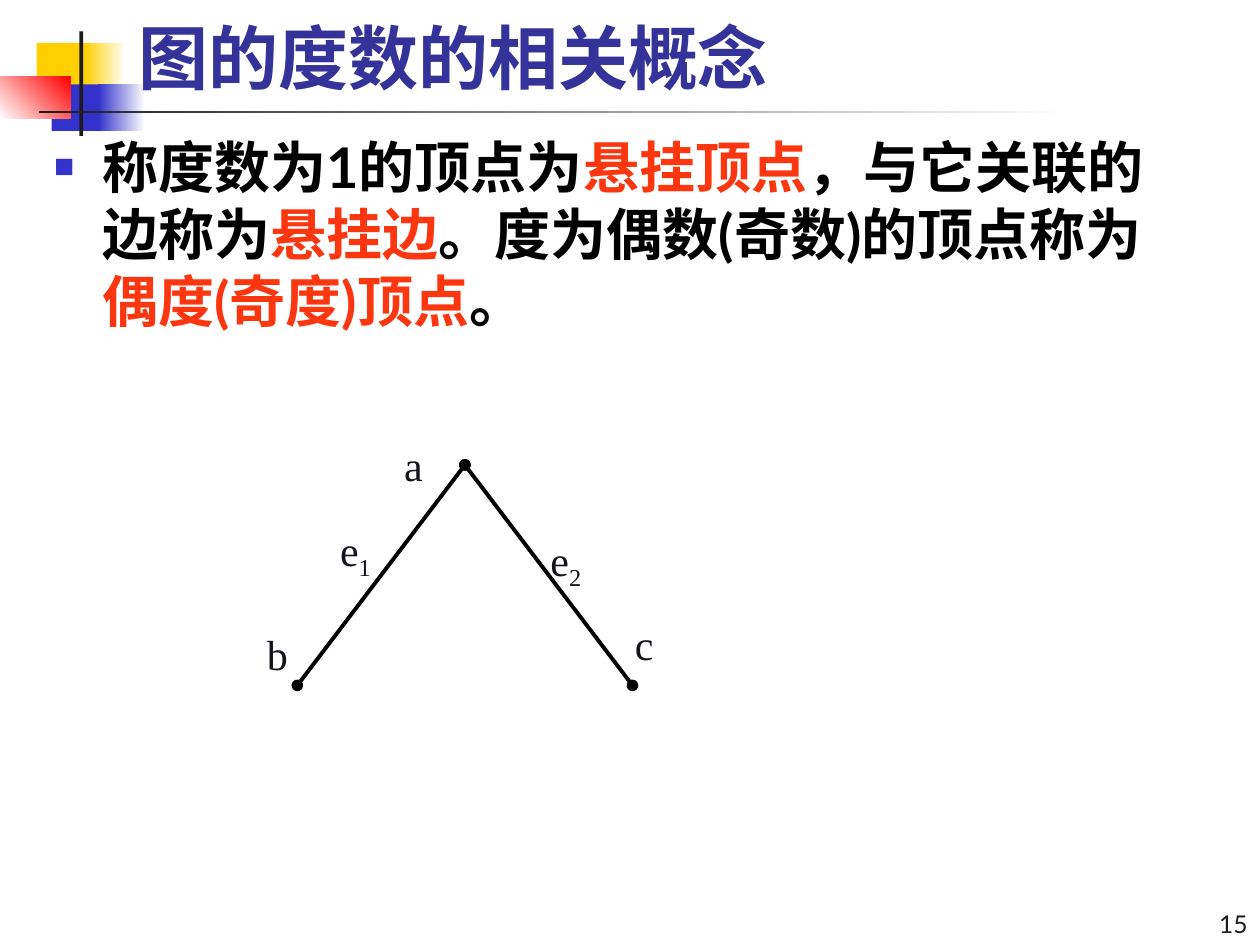
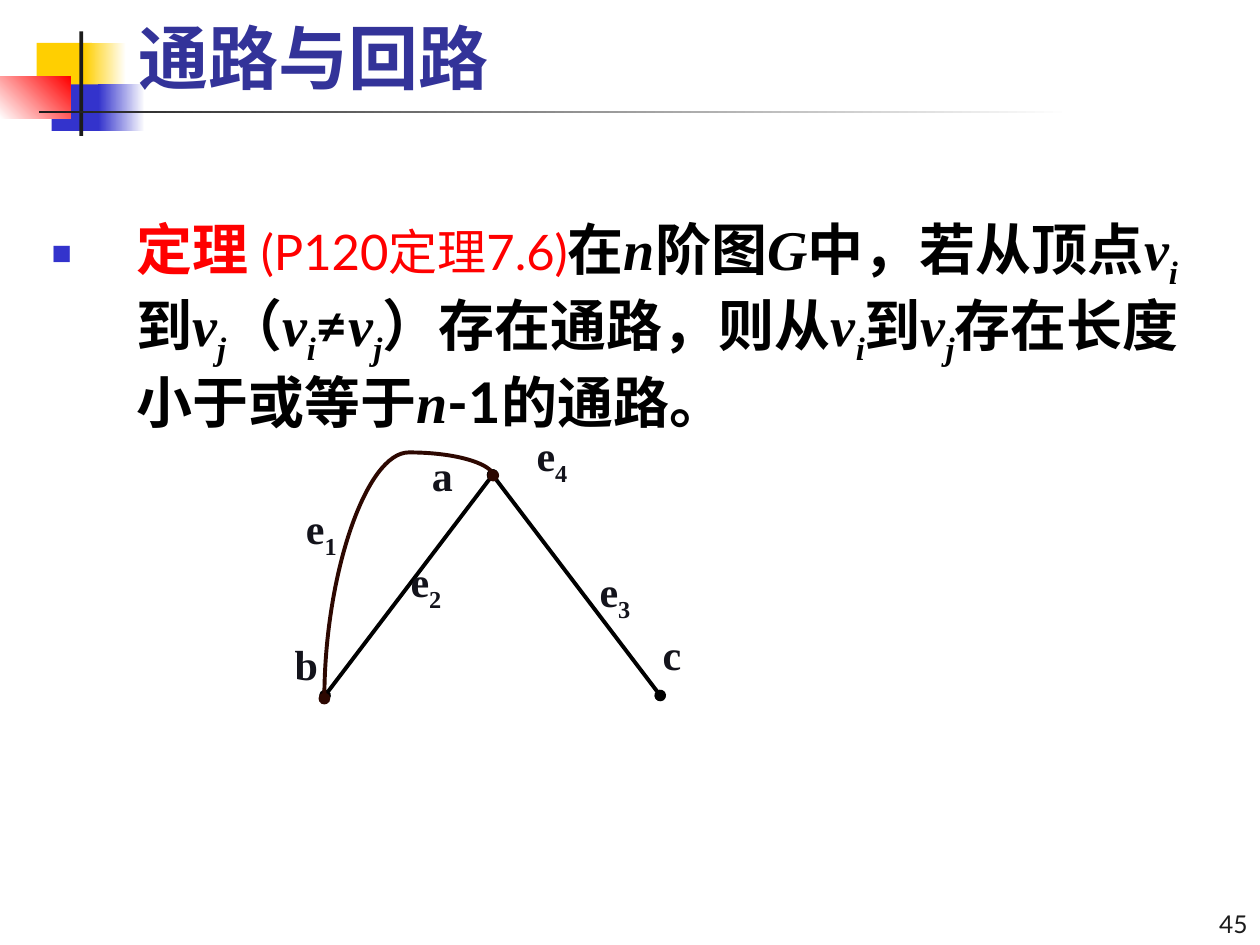
import pptx
import pptx.util
import pptx.dml.color
import pptx.enum.shapes
import pptx.enum.text
import pptx.oxml.ns
import lxml.etree

Inches, Pt = pptx.util.Inches, pptx.util.Pt
RGB = pptx.dml.color.RGBColor.from_string
Shape = pptx.enum.shapes.MSO_SHAPE
Link = pptx.enum.shapes.MSO_CONNECTOR
Anchor = pptx.enum.text.MSO_ANCHOR
Align = pptx.enum.text.PP_ALIGN
Fit = pptx.enum.text.MSO_AUTO_SIZE
qn = pptx.oxml.ns.qn


class Theme:
    sans, serif = "Lato", "Times New Roman"
    white, black, dark = "FFFFFF", "000000", "1C1C1C"
    gold, blue, red = "FFCF01", "3333CC", "FF0000"
    title, key, label, arc = "333399", "FC360E", "13131B", "2D0801"
    head, body, note, mark, foot = 40, 32, 28, 24, 14
    line = 2.25


# Run styles: font, italic, bold, size, colour, baseline (None inherits)
styles = {
    "plain": (None, None, None, None, None, None),
    "key": (None, None, None, None, Theme.key, None),
    "head": (None, None, None, None, Theme.red, None),
    "note": (None, None, False, Theme.note, Theme.red, None),
    "var": (Theme.serif, True, None, None, None, None),
    "vsub": (Theme.serif, True, None, None, None, "-25000"),
    "sub": (None, None, None, None, None, "-25000"),
}


def write(para, parts, size, color, name=Theme.sans, bold=None):
    font = para.font
    font.name, font.size, font.bold = name, Pt(size), bold
    font.color.rgb = RGB(color)
    for text, style in parts:
        run = para.add_run()
        run.text = text
        face, slant, heavy, pts, tint, base = styles[style]
        run.font.name, run.font.italic, run.font.bold = face, slant, heavy
        if pts:
            run.font.size = Pt(pts)
        if tint:
            run.font.color.rgb = RGB(tint)
        if base:
            run.font._element.set("baseline", base)


def edge(slide, kind, start, end, color):
    link = slide.shapes.add_connector(kind, *map(Inches, start + end))
    link.line.color.rgb = RGB(color)
    link.line.width = Pt(Theme.line)
    for tag in ("headEnd", "tailEnd"):
        lxml.etree.SubElement(link.line._get_or_add_ln(), qn("a:" + tag), type="oval")
    lxml.etree.SubElement(link._element.spPr, qn("a:effectLst"))
    return link


# Slide content
vi = [("v", "var"), ("i", "vsub")]
vj = [("v", "var"), ("j", "vsub")]
pages = [
    dict(
        title="图的度数的相关概念", number="15",
        box=(0.33, 1, 9.25, 1.7), indent=0.38,
        parts=[
            ("称度数为1的顶点为", "plain"), ("悬挂顶点", "key"),
            ("，与它关联的边称为", "plain"), ("悬挂边", "key"),
            ("。度为偶数(奇数)的顶点称为", "plain"),
            ("偶度(奇度)顶点", "key"), ("。", "plain"),
        ],
        apex=(3.69, 3.69), bold=None, arc=False,
        edges=[("1", -1.09, 0.42), ("2", 0.58, 0.5)],
    ),
    dict(
        title="通路与回路", number="45",
        box=(0.31, 1.65, 9.44, 3.63), indent=0.67,
        parts=[
            ("定理 ", "head"), ("(P120定理7.6)", "note"), ("在", "plain"),
            ("n", "var"), ("阶图", "plain"), ("G", "var"),
            ("中，若从顶点", "plain"), *vi, ("到", "plain"), *vj,
            ("（", "plain"), *vi, ("≠", "plain"), *vj,
            ("）存在通路，则从", "plain"), *vi, ("到", "plain"), *vj,
            ("存在长度小于或等于", "plain"), ("n", "var"),
            ("-1的通路。", "plain"),
        ],
        apex=(3.91, 3.77), bold=True, arc=True,
        edges=[("1", -1.58, 0.17), ("2", -0.75, 0.59),
               ("3", 0.75, 0.67), ("4", 0.25, -0.41)],
    ),
]
nodes = [("a", -0.58, -0.25), ("b", -1.67, 1.25), ("c", 1.25, 1.17)]
half, drop = 1.33, 1.75

# Corner blocks and rules: place, start colour, end colour, angle
decor = [
    ((0.29, 0.34, 0.44, 0.38), Theme.gold, None, 0),
    ((0.67, 0.34, 0.33, 0.38), Theme.gold, Theme.white, 0),
    ((0.41, 0.67, 0.42, 0.37), Theme.blue, None, 0),
    ((0.78, 0.67, 0.37, 0.37), Theme.blue, Theme.white, 0),
    ((0, 0.61, 0.56, 0.33), Theme.white, Theme.red, 45),
    ((0.63, 0.25, 0.03, 0.83), Theme.dark, None, 0),
    ((0.31, 0.88, 8.19, 0.02), Theme.dark, Theme.white, 0),
]

deck = pptx.Presentation()
deck.slide_width, deck.slide_height = Inches(10), Inches(7.5)
layout = deck.slide_layouts[1]

for index, page in enumerate(pages):
    slide = deck.slides.add_slide(layout)

    # Shared decoration, moved once to the layout
    if index == 0:
        for spot, (place, first, last, angle) in enumerate(decor):
            block = slide.shapes.add_shape(Shape.RECTANGLE, *map(Inches, place))
            block.shadow.inherit = False
            block.line.fill.background()
            if last:
                block.fill.gradient()
                block.fill.gradient_angle = angle
                for stop, tint in zip(block.fill.gradient_stops, (first, last)):
                    stop.color.rgb = RGB(tint)
            else:
                block.fill.solid()
                block.fill.fore_color.rgb = RGB(first)
            layout.shapes._spTree.insert(2 + spot, block._element)

    # Title
    title = slide.shapes.title
    title.left, title.top, title.width, title.height = map(Inches, (1, 0, 9, 0.83))
    frame = title.text_frame
    frame.auto_size, frame.vertical_anchor = Fit.NONE, Anchor.BOTTOM
    para = frame.paragraphs[0]
    para.alignment = Align.LEFT
    write(para, [(page["title"], "plain")], Theme.head, Theme.title, bold=True)

    # Body with a square bullet
    body = slide.placeholders[1]
    body.left, body.top, body.width, body.height = map(Inches, page["box"])
    body.text_frame.auto_size = Fit.NONE
    para = body.text_frame.paragraphs[0]
    para.space_before = Pt(0)
    props = para._p.get_or_add_pPr()
    props.set("marL", str(Inches(page["indent"])))
    props.set("indent", str(-Inches(page["indent"])))
    tint = lxml.etree.SubElement(props, qn("a:buClr"))
    lxml.etree.SubElement(tint, qn("a:srgbClr"), val=Theme.blue)
    lxml.etree.SubElement(props, qn("a:buSzPct"), val="60000")
    lxml.etree.SubElement(props, qn("a:buChar"), char="■")
    write(para, page["parts"], Theme.body, Theme.black, bold=True)

    # Page number
    foot = slide.shapes.add_textbox(*map(Inches, (8.67, 7.08, 1.33, 0.42)))
    frame = foot.text_frame
    frame.word_wrap, frame.vertical_anchor = True, Anchor.BOTTOM
    frame.paragraphs[0].alignment = Align.RIGHT
    write(frame.paragraphs[0], [(page["number"], "plain")], Theme.foot, Theme.dark)

    # Graph edges with round ends as nodes
    x, y = page["apex"]
    left, right = (x - half, y + drop), (x + half, y + drop)
    edge(slide, Link.STRAIGHT, (x, y), right, Theme.black)
    edge(slide, Link.STRAIGHT, left, (x, y), Theme.black)
    if page["arc"]:
        # Drawn lying down, then turned a quarter
        arc = edge(slide, Link.CURVE, (4.13, 5.33), (2.36, 3.99), Theme.arc)
        arc._element.spPr.find(qn("a:xfrm")).set("rot", "5400000")
        geom = arc._element.spPr.find(qn("a:prstGeom"))
        guides = geom.find(qn("a:avLst"))
        if guides is None:
            guides = lxml.etree.SubElement(geom, qn("a:avLst"))
        lxml.etree.SubElement(guides, qn("a:gd"), name="adj1", fmla="val 110400")

    # Node and edge labels, placed from the apex
    marks = [([(name, "plain")], dx, dy, 0.42) for name, dx, dy in nodes]
    marks += [([("e", "plain"), (num, "sub")], dx, dy, 0.58)
              for num, dx, dy in page["edges"]]
    for parts, dx, dy, width in marks:
        box = slide.shapes.add_textbox(*map(Inches, (x + dx, y + dy, width, 0.5)))
        box.text_frame.word_wrap = True
        write(box.text_frame.paragraphs[0], parts, Theme.mark, Theme.label,
              Theme.serif, page["bold"])

deck.save("out.pptx")
